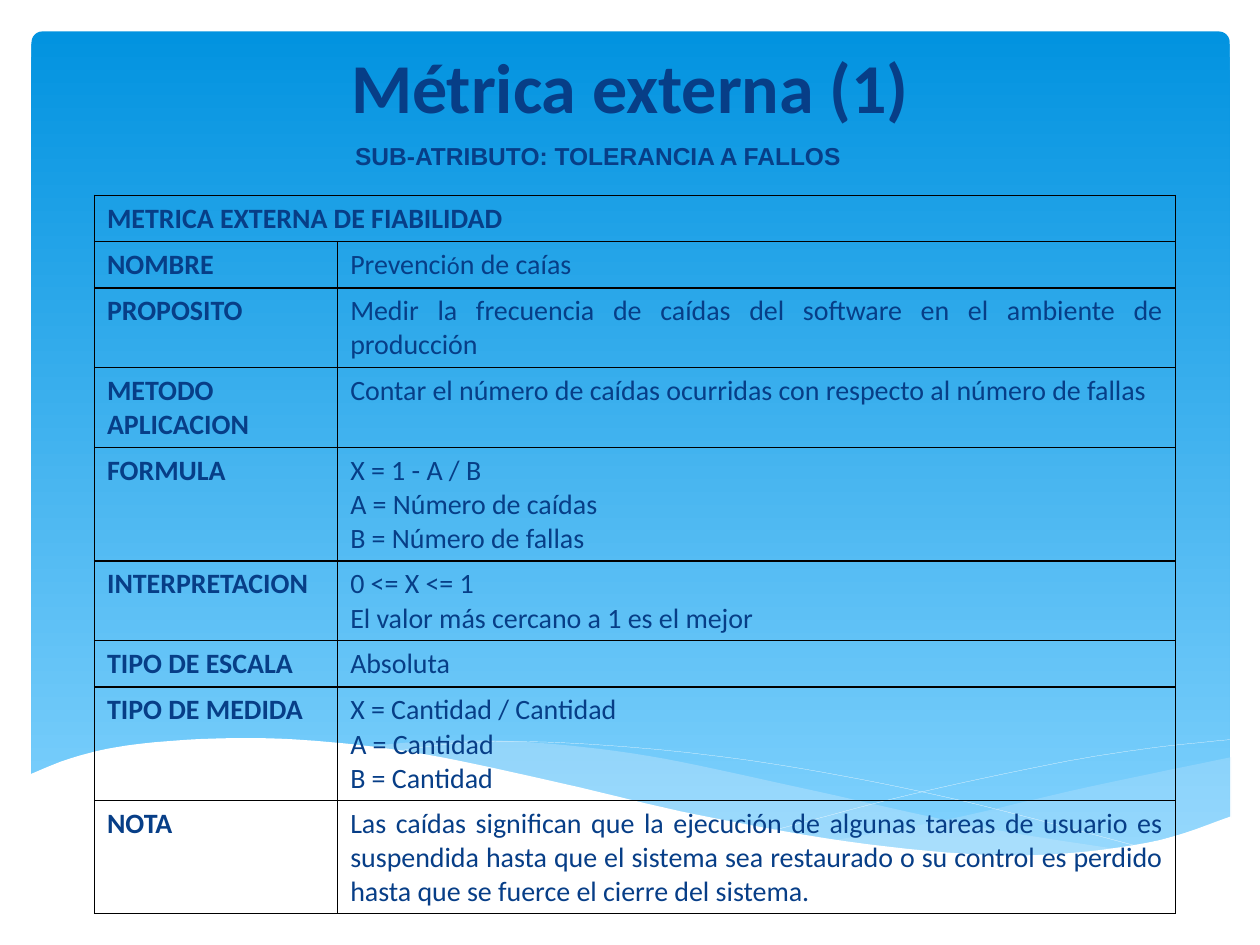
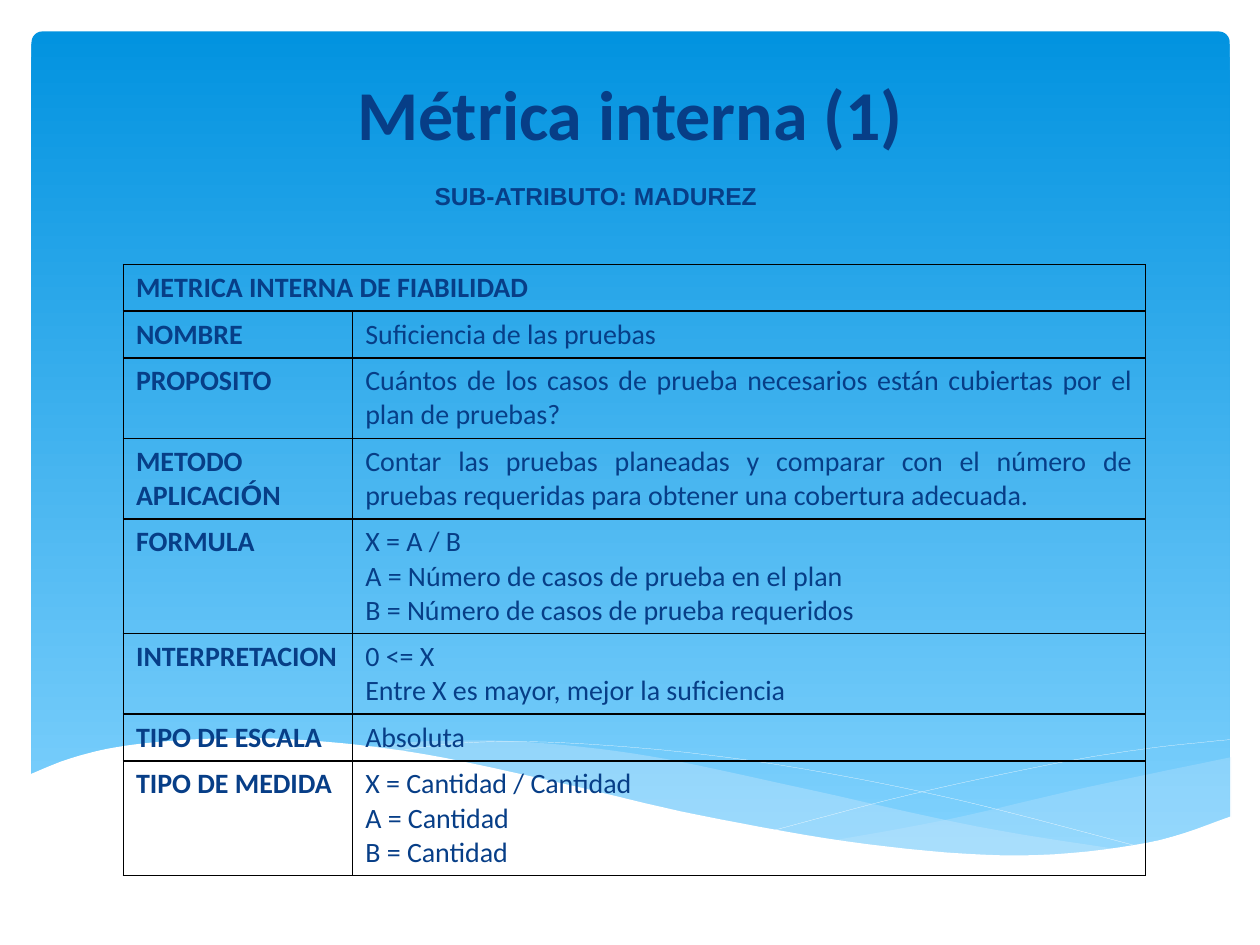
import pptx
import pptx.util
import pptx.dml.color
import pptx.enum.shapes
import pptx.enum.text
import pptx.oxml
import pptx.oxml.ns
from pptx.util import Inches

RGB = pptx.dml.color.RGBColor
NAVY = RGB(0x07, 0x3E, 0x87)
SKY_TOP = RGB(0x02, 0x93, 0xE0)
SKY_BOTTOM = RGB(0x83, 0xD3, 0xFE)
FOAM = RGB(0xC6, 0xE7, 0xFC)
WHITE = RGB(0xFF, 0xFF, 0xFF)
BLACK = RGB(0, 0, 0)
ALIGN = pptx.enum.text.PP_ALIGN
ANCHOR = pptx.enum.text.MSO_ANCHOR

# Text formats
TITLE_STYLE = dict(size=40, bold=True, align=ALIGN.CENTER, anchor=ANCHOR.MIDDLE)
SUBTITLE_STYLE = dict(size=14, bold=True, font="Arial")
LABEL_STYLE = dict(bold=True)
SENTENCE_STYLE = dict(align=ALIGN.JUSTIFY)
VALUE_STYLE = dict()

# Content: each row is label, value paragraphs, lines of height.
# A paragraph is a string or a list of (text, format) runs.
QUANTITIES = ["X = Cantidad / Cantidad", "A = Cantidad", "B = Cantidad"]
METRICS = [
    {
        "title": "Métrica externa (1)",
        "title_box": (0.43, 0.21, 9.14, 0.94),
        "subtitle": "SUB-ATRIBUTO: TOLERANCIA A FALLOS",
        "subtitle_box": (2.72, 1.07, 4.65, 0.33),
        "table_corner": (0.75, 1.55), "column_widths": (1.93, 6.65), "row_padding": 0.09,
        "heading": "METRICA EXTERNA DE FIABILIDAD",
        "rows": [
            ("NOMBRE", [[("Prevenci", {}), ("ó", {"size": 14}), ("n de caías", {})]], 1),
            ("PROPOSITO", ["Medir la frecuencia de caídas del software en el ambiente "
                           "de producción"], 2),
            ("METODO APLICACION", ["Contar el número de caídas ocurridas con respecto "
                                   "al número de fallas"], 2),
            ("FORMULA", ["X = 1 - A / B", "A = Número de caídas", "B = Número de fallas"], 3),
            ("INTERPRETACION", ["0 <= X <= 1", "El valor más cercano a 1 es el mejor"], 2),
            ("TIPO DE ESCALA", ["Absoluta"], 1),
            ("TIPO DE MEDIDA", QUANTITIES, 3),
            ("NOTA", ["Las caídas significan que la ejecución de algunas tareas de usuario "
                      "es suspendida hasta que el sistema sea restaurado o su control es "
                      "perdido hasta que se fuerce el cierre del sistema."], 3),
        ],
    },
    {
        "title": "Métrica interna (1)",
        "title_box": (0.43, 0.21, 9.14, 1.37),
        "subtitle": "SUB-ATRIBUTO: MADUREZ",
        "subtitle_box": (3.35, 1.39, 3.15, 0.33),
        "table_corner": (0.98, 2.1), "column_widths": (1.82, 6.29), "row_padding": 0.1,
        "heading": "METRICA INTERNA DE FIABILIDAD",
        "rows": [
            ("NOMBRE", ["Suficiencia de las pruebas"], 1),
            ("PROPOSITO", ["Cuántos de los casos de prueba necesarios están cubiertas "
                           "por el plan de pruebas?"], 2),
            ([("METODO APLICACI", {}), ("Ó", {"font": "Arial"}), ("N", {})],
             ["Contar las pruebas planeadas y comparar con el número de pruebas "
              "requeridas para obtener una cobertura adecuada."], 2),
            ("FORMULA", ["X = A / B", "A = Número de casos de prueba en el plan",
                         "B = Número de casos de prueba requeridos"], 3),
            ("INTERPRETACION", ["0 <= X", "Entre X es mayor, mejor la suficiencia"], 2),
            ("TIPO DE ESCALA", ["Absoluta"], 1),
            ("TIPO DE MEDIDA", QUANTITIES, 3),
        ],
    },
]
LINE_HEIGHT = 0.27
SENTENCE_LENGTH = 60  # a single paragraph longer than this is justified

# Waves: each edge is a few knots in inches that a smooth curve passes through
RIGHT_SWELL = [
    [(9.77, 6.01), (8.62, 6.25), (7.54, 6.5), (6.62, 6.67)],
    [(6.62, 6.67), (7.33, 6.76), (8.15, 6.8), (8.98, 6.72), (9.77, 6.49)]]
MIDDLE_SWELL = [
    [(8.94, 6.75), (7.76, 6.56), (6.3, 6.24), (5.15, 6), (4.2, 5.89), (3.45, 5.88),
     (2.87, 5.93)],
    [(2.87, 5.93), (3.63, 6.05), (4.5, 6.24), (5.67, 6.5), (6.66, 6.68), (7.49, 6.78),
     (8.19, 6.8), (8.94, 6.75)]]
FALLING_CREST = [
    [(3.1, 5.97), (3.63, 5.9), (4.33, 5.89), (5.33, 5.96), (6.36, 6.1), (7.61, 6.35),
     (9.08, 6.73)]]
RISING_CREST = [[(6.14, 6.59), (7.21, 6.31), (8.37, 6.06), (9.11, 5.94), (9.76, 5.87)]]
SHORE = [
    [(9.77, 6.48), (9.1, 6.69), (8.09, 6.79), (6.88, 6.7), (5.55, 6.47), (4.47, 6.22),
     (3.39, 5.99), (2.5, 5.88), (1.77, 5.86), (1.06, 5.91), (0.59, 6.01), (0.23, 6.15)],
    [(0.23, 7.31), (9.77, 7.31)]]
# Edges and opacity in percent, from back to front
SWELLS = [(RIGHT_SWELL, 29), (MIDDLE_SWELL, 40)]
CRESTS = [FALLING_CREST, RISING_CREST]
CURVE_STEPS = 8
UNITS_PER_INCH = 1000


def write(frame, paragraphs, size=16, font="Calibri", bold=False, align=None,
          anchor=ANCHOR.TOP):
    """Fill a text frame; a run's own format overrides the shared one."""
    frame.word_wrap = True
    frame.vertical_anchor = anchor
    for number, content in enumerate(paragraphs):
        paragraph = frame.add_paragraph() if number else frame.paragraphs[0]
        paragraph.alignment = align
        runs = [(content, {})] if isinstance(content, str) else content
        for text, change in runs:
            run = paragraph.add_run()
            run.text = text
            run.font.size = pptx.util.Pt(change.get("size", size))
            run.font.name = change.get("font", font)
            run.font.bold = bold
            run.font.color.rgb = NAVY


def add_text(slide, box, text, style):
    write(slide.shapes.add_textbox(*map(Inches, box)).text_frame, [text], **style)


def drawing_xml(tag, attributes, inner=""):
    namespace = pptx.oxml.ns.nsdecls("a")
    return pptx.oxml.parse_xml(f"<a:{tag} {namespace} {attributes}>{inner}</a:{tag}>")


# Backdrop
def smooth(knots):
    """Sample a Catmull-Rom curve: it passes through every knot."""
    padded = [knots[0], *knots, knots[-1]]
    points = [knots[0]]
    for before, start, end, after in zip(padded, padded[1:], padded[2:], padded[3:]):
        for step in range(1, CURVE_STEPS + 1):
            t = step / CURVE_STEPS
            points.append(tuple(
                b + ((c - a) * t + (2 * a - 5 * b + 4 * c - d) * t ** 2
                     + (3 * b - a - 3 * c + d) * t ** 3) / 2
                for a, b, c, d in zip(before, start, end, after)))
    return points


def add_wave(slide, edges, closed):
    points = [(x * UNITS_PER_INCH, y * UNITS_PER_INCH)
              for edge in edges for x, y in smooth(edge)]
    builder = slide.shapes.build_freeform(*points[0], scale=Inches(1) / UNITS_PER_INCH)
    builder.add_line_segments(points[1:], close=closed)
    wave = builder.convert_to_shape()
    wave.shadow.inherit = False
    return wave


def add_water(slide, edges, color, opacity=100):
    water = add_wave(slide, edges, closed=True)
    water.line.fill.background()
    water.fill.solid()
    water.fill.fore_color.rgb = color
    if opacity < 100:
        color_element = water.fill._xPr.find(".//" + pptx.oxml.ns.qn("a:srgbClr"))
        color_element.append(drawing_xml("alpha", f'val="{opacity * 1000}"'))


def add_crest(slide, edges):
    crest = add_wave(slide, edges, closed=False)
    crest.fill.background()
    crest.line.color.rgb = WHITE
    crest.line.width = pptx.util.Pt(0.1)


def add_sky(slide):
    sky = slide.shapes.add_shape(
        pptx.enum.shapes.MSO_SHAPE.ROUNDED_RECTANGLE,
        Inches(0.25), Inches(0.25), Inches(9.51), Inches(6.6))
    sky.adjustments[0] = 0.013
    sky.shadow.inherit = False
    sky.line.fill.background()
    sky.fill.gradient()
    sky.fill.gradient_angle = 270
    for stop, position, color in zip(sky.fill.gradient_stops, (0, 1), (SKY_TOP, SKY_BOTTOM)):
        stop.position = position
        stop.color.rgb = color


def add_backdrop(slide):
    add_sky(slide)
    for edges, opacity in SWELLS:
        add_water(slide, edges, FOAM, opacity)
    for edges in CRESTS:
        add_crest(slide, edges)
    add_water(slide, SHORE, WHITE)


# Table
def outline(cell):
    black_fill = f'<a:solidFill><a:srgbClr val="{BLACK}"/></a:solidFill>'
    for side in ("lnL", "lnR", "lnT", "lnB"):
        cell._tc.get_or_add_tcPr().append(drawing_xml(side, 'w="12700"', black_fill))
    cell.fill.background()


def add_metric_table(slide, metric):
    rows = [(metric["heading"], [], 1), *metric["rows"]]
    heights = [metric["row_padding"] + LINE_HEIGHT * lines for _, _, lines in rows]
    widths = metric["column_widths"]
    box = (*metric["table_corner"], sum(widths), sum(heights))
    table = slide.shapes.add_table(len(rows), len(widths), *map(Inches, box)).table
    table.first_row = table.horz_banding = False
    for column, width in zip(table.columns, widths):
        column.width = Inches(width)
    for row, height, (label, value, _) in zip(table.rows, heights, rows):
        row.height = Inches(height)
        for cell in row.cells:
            outline(cell)
        label_cell, value_cell = row.cells
        is_sentence = len(value) == 1 and len(value[0]) > SENTENCE_LENGTH
        write(label_cell.text_frame, [label], **LABEL_STYLE)
        write(value_cell.text_frame, value, **(SENTENCE_STYLE if is_sentence else VALUE_STYLE))
    table.cell(0, 0).merge(table.cell(0, 1))


# Slides
deck = pptx.Presentation()
deck.slide_width, deck.slide_height = Inches(10), Inches(7.5)
blank_layout = deck.slide_layouts[6]
for metric in METRICS:
    slide = deck.slides.add_slide(blank_layout)
    add_backdrop(slide)
    add_text(slide, metric["title_box"], metric["title"], TITLE_STYLE)
    add_text(slide, metric["subtitle_box"], metric["subtitle"], SUBTITLE_STYLE)
    add_metric_table(slide, metric)
deck.save("out.pptx")
